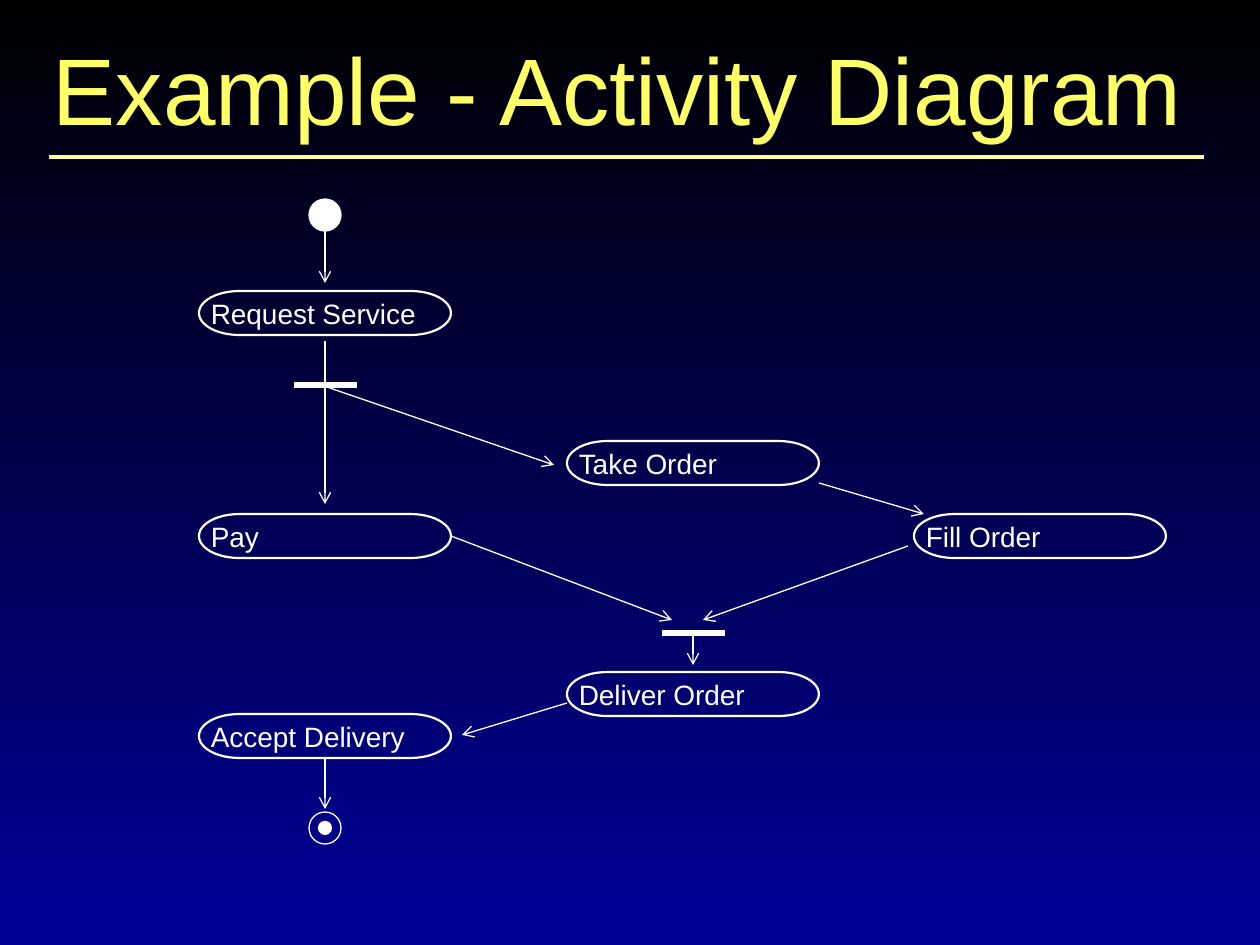
"""Build a slide with a UML activity diagram for an ordering process."""
from dataclasses import dataclass
from typing import Optional

from lxml import etree
from pptx import Presentation
from pptx.dml.color import RGBColor
from pptx.enum.shapes import MSO_CONNECTOR, MSO_SHAPE
from pptx.enum.text import MSO_ANCHOR, PP_ALIGN
from pptx.oxml.ns import qn
from pptx.util import Emu, Pt

STRAIGHT = MSO_CONNECTOR.STRAIGHT
TERMINATOR = MSO_SHAPE.FLOWCHART_TERMINATOR
OVAL = MSO_SHAPE.OVAL
LEFT = PP_ALIGN.LEFT
TOP = MSO_ANCHOR.TOP
MIDDLE = MSO_ANCHOR.MIDDLE

EMU_PER_PX = 914400 / 126
COLORS = {
    "top": "000000",
    "bottom": "000099",
    "title": "FFFF66",
    "rule": "FFFF99",
    "ink": "FFFFFF",
}
FONT = "Arial"
STATE_WIDTH, STATE_HEIGHT = 252, 44
BOTTOM_SIDE, RIGHT_SIDE = 2, 3


@dataclass(frozen=True)
class State:
    name: str
    left: int
    top: int


@dataclass(frozen=True)
class Line:
    x1: int
    y1: int
    x2: int
    y2: int
    width: float = 0.75
    arrow: bool = True
    color: str = "ink"
    start: Optional[str] = None
    side: int = 0


@dataclass(frozen=True)
class Circle:
    center_x: int
    center_y: int
    diameter: int
    filled: bool


STATES = [
    State("Request Service", 199, 291),
    State("Take Order", 567, 441),
    State("Pay", 199, 514),
    State("Fill Order", 914, 514),
    State("Deliver Order", 567, 672),
    State("Accept Delivery", 199, 714),
]
LINES = [
    Line(49, 157, 1204, 157, width=2.25, arrow=False, color="rule"),
    Line(325, 231, 325, 283),
    Line(325, 341, 325, 383, arrow=False),
    Line(294, 385, 357, 385, width=3, arrow=False),
    Line(325, 388, 325, 504),
    Line(324, 386, 554, 465),
    Line(819, 483, 924, 514),
    Line(451, 536, 672, 620, start="Pay", side=RIGHT_SIDE),
    Line(908, 546, 703, 620),
    Line(662, 633, 725, 633, width=3, arrow=False),
    Line(693, 633, 693, 665),
    Line(567, 703, 462, 735),
    Line(325, 758, 325, 809, start="Accept Delivery", side=BOTTOM_SIDE),
]
CIRCLES = [
    Circle(325, 215, 32, True),
    Circle(325, 828, 32, False),
    Circle(325, 828, 13, True),
]


def px(value: float) -> Emu:
    return Emu(round(value * EMU_PER_PX))


def rgb(name: str) -> RGBColor:
    return RGBColor.from_string(COLORS[name])


def paint_background(slide) -> None:
    fill = slide.background.fill
    fill.gradient()
    fill.gradient_angle = 270
    for stop, position, name in zip(fill.gradient_stops, (0, 1), ("top", "bottom")):
        stop.position = position
        stop.color.rgb = rgb(name)


def write(shape, text: str, size: int, color: str, anchor, insets: tuple) -> None:
    frame = shape.text_frame
    frame.word_wrap = True
    frame.vertical_anchor = anchor
    frame.margin_left = frame.margin_right = px(insets[0])
    frame.margin_top = frame.margin_bottom = px(insets[1])
    paragraph = frame.paragraphs[0]
    paragraph.text = text
    paragraph.alignment = LEFT
    paragraph.font.name = FONT
    paragraph.font.size = Pt(size)
    paragraph.font.color.rgb = rgb(color)


def add_outline(slide, kind, left: float, top: float, width: int, height: int,
                line_width: float):
    shape = slide.shapes.add_shape(kind, px(left), px(top), px(width), px(height))
    shape.shadow.inherit = False
    shape.fill.background()
    shape.line.color.rgb = rgb("ink")
    shape.line.width = Pt(line_width)
    return shape


def add_state(slide, state: State):
    shape = add_outline(slide, TERMINATOR, state.left, state.top,
                        STATE_WIDTH, STATE_HEIGHT, 1.25)
    write(shape, state.name, 16, "ink", MIDDLE, (0, 6))
    return shape


def add_circle(slide, circle: Circle) -> None:
    radius = circle.diameter / 2
    shape = add_outline(slide, OVAL, circle.center_x - radius, circle.center_y - radius,
                        circle.diameter, circle.diameter, 0.75)
    if circle.filled:
        shape.fill.solid()
        shape.fill.fore_color.rgb = rgb("ink")


def add_line(slide, line: Line, states: dict) -> None:
    connector = slide.shapes.add_connector(
        STRAIGHT, px(line.x1), px(line.y1), px(line.x2), px(line.y2))
    if line.start:
        connector.begin_connect(states[line.start], line.side)
    connector.line.color.rgb = rgb(line.color)
    connector.line.width = Pt(line.width)
    if line.arrow:
        etree.SubElement(connector.line._get_or_add_ln(), qn("a:tailEnd"), type="arrow")
    etree.SubElement(connector._element.spPr, qn("a:effectLst"))


def main() -> None:
    presentation = Presentation()
    presentation.slide_width, presentation.slide_height = px(1260), px(945)
    slide = presentation.slides.add_slide(presentation.slide_layouts[6])
    paint_background(slide)
    title = slide.shapes.add_textbox(px(42), px(31), px(1187), px(92))
    write(title, "Example - Activity Diagram", 54, "title", TOP, (11, 0))
    states = {state.name: add_state(slide, state) for state in STATES}
    for line in LINES:
        add_line(slide, line, states)
    for circle in CIRCLES:
        add_circle(slide, circle)
    presentation.save("out.pptx")


if __name__ == "__main__":
    main()
